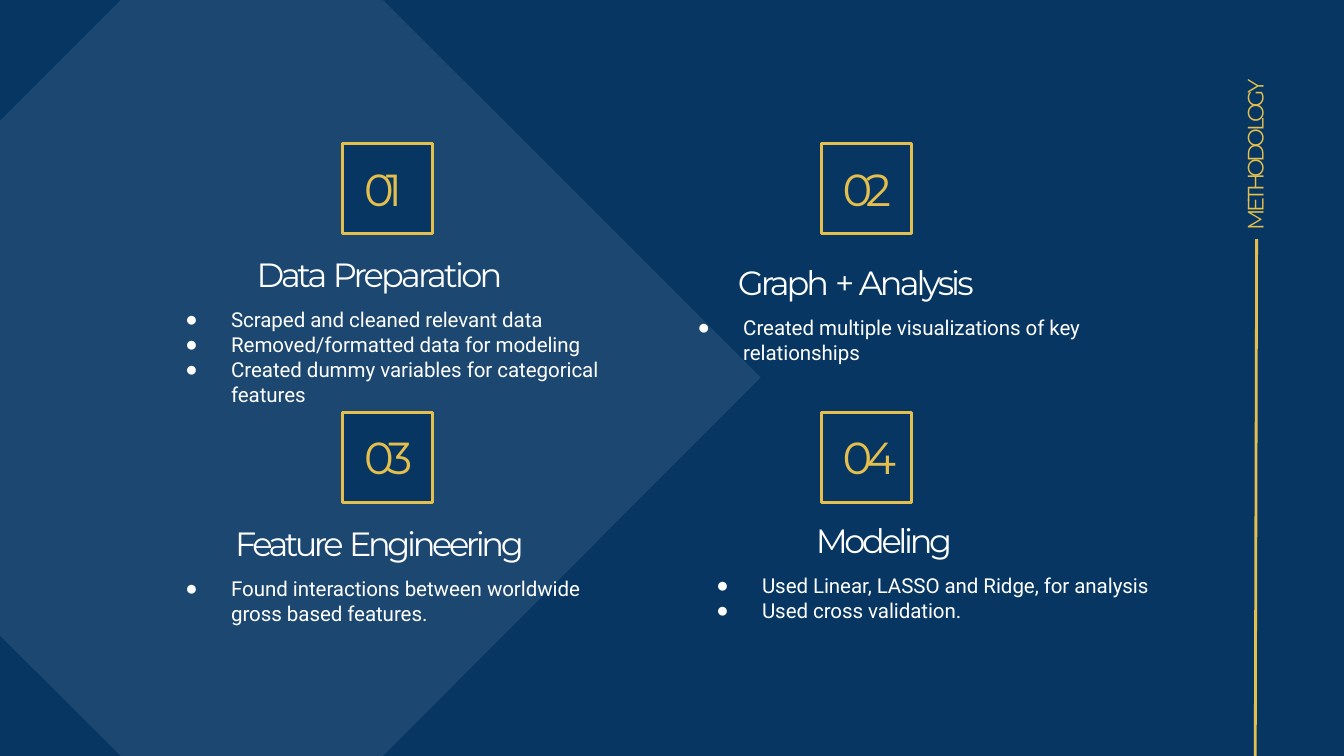
import pptx
import pptx.util
import pptx.dml.color
import pptx.enum.shapes
import pptx.enum.text
import pptx.oxml
import pptx.oxml.ns
from pptx.util import Inches

NAVY, GOLD, WHITE, PALE = "073662", "E4BF4D", "FFFFFF", "CFE1F2"
W, H = 10, 45 / 8
TITLE = "METHODOLOGY"
DIAMOND = [(2.85, H), (0.9, H), (0, 4.73), (0, 0.9), (0.9, 0), (2.85, 0), (5.66, 2.81)]

# Steps run row by row; box is left, top, width, height of the text.
# Numbers and headings are (text, letter spacing) runs.
STEPS = [
    dict(number=("01", -4.2), heading=[("Data ", -1.8), ("Preparation", -1.5)], indent=0.55,
         box=(1.36, 1.72, 3.11, 1.32),
         points=["Scraped and cleaned relevant data",
                 "Removed/formatted data for modeling",
                 "Created dummy variables for categorical features"]),
    dict(number=("02", -3.5), heading=[("Graph ", -1.6), ("+ ", -2.3), ("Analysis", -1.6)],
         indent=0.32, box=(5.17, 1.78, 2.89, 0.94),
         points=["Created multiple visualizations of key relationships"]),
    dict(number=("03", -3.4), heading=[("Feature ", -1.9), ("Engineering", -1.8)], indent=0.39,
         box=(1.36, 3.72, 3.24, 0.94),
         points=["Found interactions between worldwide gross based features."]),
    dict(number=("04", -3.2), heading=[("Modeling", -1.8)], indent=0.76,
         box=(5.31, 3.7, 3.39, 1.13),
         points=["Used Linear, LASSO and Ridge, for analysis",
                 "Used cross validation."]),
]
SQUARE, COLUMNS, ROWS = 0.67, (2.55, 6.11), (1.07, 3.07)


def rgb(color):
    return pptx.dml.color.RGBColor.from_string(color)


def add_xml(parent, xml):
    """Append a DrawingML element, given without its namespace declaration."""
    ns = pptx.oxml.ns.nsdecls("a")
    parent.append(pptx.oxml.parse_xml(xml.replace("/>", f" {ns}/>")))


def place(sp, left, top, width, height):
    sp.left, sp.top, sp.width, sp.height = map(Inches, (left, top, width, height))


def set_frame(tf, top):
    tf.word_wrap = True
    tf.auto_size = pptx.enum.text.MSO_AUTO_SIZE.NONE
    tf.vertical_anchor = pptx.enum.text.MSO_ANCHOR.TOP
    tf.margin_left = tf.margin_right = tf.margin_bottom = 0
    tf.margin_top = Inches(top)


def write(p, runs, size, font="Montserrat", color=WHITE, left=0, hang=0,
          before=0, line=1.0, bullet=None):
    """Fill a paragraph with (text, letter spacing) runs."""
    p.alignment = pptx.enum.text.PP_ALIGN.LEFT
    p.space_before, p.line_spacing = pptx.util.Pt(before), line
    pPr = p._p.get_or_add_pPr()
    pPr.set("marL", str(Inches(left)))
    pPr.set("indent", str(Inches(-hang)))
    if bullet:
        add_xml(pPr, '<a:buFont typeface="Arial"/>')
        add_xml(pPr, f'<a:buChar char="{bullet}"/>')
    else:
        add_xml(pPr, "<a:buNone/>")
    for text, spc in runs:
        r = p.add_run()
        r.text = text
        r.font.size, r.font.name, r.font.bold = pptx.util.Pt(size), font, False
        r.font.color.rgb = rgb(color)
        r._r.get_or_add_rPr().set("spc", str(round(spc * 100)))


def add_diamond(s):
    builder = s.shapes.build_freeform(*map(Inches, DIAMOND[0]))
    builder.add_line_segments([(Inches(x), Inches(y)) for x, y in DIAMOND[1:]])
    sp = builder.convert_to_shape()
    sp.shadow.inherit = False
    sp.fill.solid()
    sp.fill.fore_color.rgb = rgb(PALE)
    sp.line.fill.background()
    add_xml(sp.fill._xPr.find(".//" + pptx.oxml.ns.qn("a:srgbClr")), '<a:alpha val="10000"/>')


def add_rule(s):
    line = s.shapes.add_connector(pptx.enum.shapes.MSO_CONNECTOR.STRAIGHT,
                                  *map(Inches, (9.35, 1.78, 9.34, H)))
    line.line.color.rgb = rgb(GOLD)
    line.line.width = pptx.util.Pt(1.5)
    add_xml(line._element.spPr, "<a:effectLst/>")


def add_number(s, number, left, top):
    sp = s.shapes.add_shape(pptx.enum.shapes.MSO_SHAPE.RECTANGLE,
                            *map(Inches, (left, top, SQUARE, SQUARE)))
    sp.shadow.inherit = False
    sp.fill.solid()
    sp.fill.fore_color.rgb = rgb(NAVY)
    sp.line.color.rgb = rgb(GOLD)
    sp.line.width = pptx.util.Pt(1.5)
    set_frame(sp.text_frame, 0.13)
    write(sp.text_frame.paragraphs[0], [number], 24, color=GOLD, left=0.16)


def fill_step(sp, step):
    place(sp, *step["box"])
    tf = sp.text_frame
    set_frame(tf, 0.17)
    write(tf.paragraphs[0], step["heading"], 18, left=step["indent"])
    for i, point in enumerate(step["points"]):
        write(tf.add_paragraph(), [(point, -0.07)], 11, font="Roboto", left=0.36, hang=0.34,
              before=0 if i else 6.5, line=1.02, bullet="●")


def main():
    prs = pptx.Presentation()
    prs.slide_width, prs.slide_height = Inches(W), Inches(H)
    s = prs.slides.add_slide(prs.slide_layouts[4])  # a title and four bodies
    title, *bodies = list(s.placeholders)
    s.background.fill.solid()
    s.background.fill.fore_color.rgb = rgb(NAVY)

    add_diamond(s)
    add_rule(s)
    for i, (step, body) in enumerate(zip(STEPS, bodies)):
        row, column = divmod(i, 2)
        add_number(s, step["number"], COLUMNS[column], ROWS[row])
        fill_step(body, step)

    place(title, 8.73, 1, 1.2, 0.25)  # turned about its centre to read upwards
    title.rotation = 270
    set_frame(title.text_frame, 0.03)
    write(title.text_frame.paragraphs[0], [(TITLE, -1.9)], 12, color=GOLD, left=0.01)

    for sp in (*bodies, title):  # bring the text in front of the diamond
        s.shapes._spTree.append(sp._element)
    prs.save("out.pptx")


if __name__ == "__main__":
    main()
